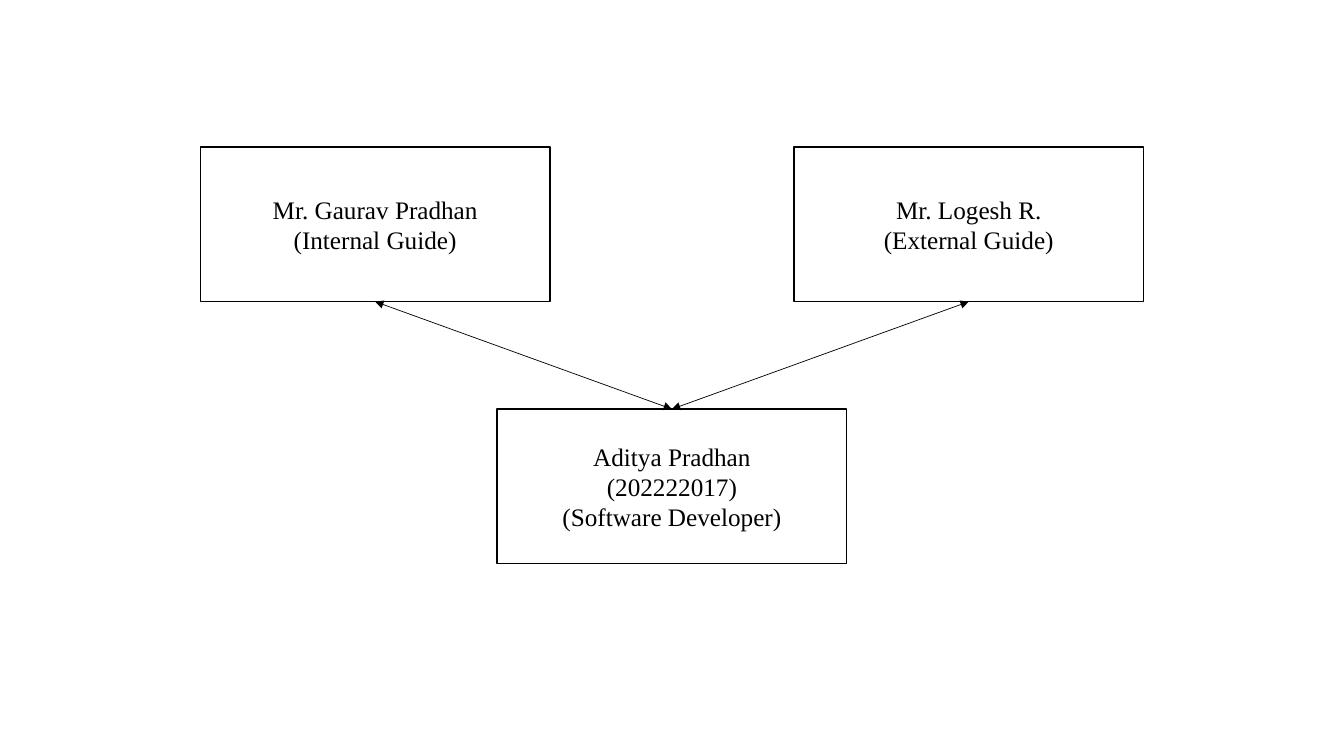
from lxml import etree
from pptx import Presentation
from pptx.dml.color import RGBColor
from pptx.enum.shapes import MSO_CONNECTOR, MSO_SHAPE
from pptx.enum.text import MSO_ANCHOR, PP_ALIGN
from pptx.oxml.ns import qn
from pptx.util import Cm, Pt

RECTANGLE = MSO_SHAPE.RECTANGLE
STRAIGHT = MSO_CONNECTOR.STRAIGHT
MIDDLE = MSO_ANCHOR.MIDDLE
CENTER = PP_ALIGN.CENTER

BLANK_LAYOUT = 6
TOP_SITE, BOTTOM_SITE = 0, 2
FONT = "Times New Roman"
BLACK, WHITE = "000000", "FFFFFF"

PAGE_WIDTH, PAGE_HEIGHT = 33.87, 19.05
BOX_WIDTH, BOX_HEIGHT = 8.81, 3.89
GUIDE_OFFSET = 7.48  # from the page centre to the centre of a guide's box
ROW_GAP = 2.71

DEVELOPER = "Aditya Pradhan\n(202222017)\n(Software Developer)"
GUIDES = ["Mr. Gaurav Pradhan\n(Internal Guide)", "Mr. Logesh R.\n(External Guide)"]


def color(hex_string):
    return RGBColor.from_string(hex_string)


def add_person(page, center, top, text):
    """Outlined box with centred text."""
    box = page.shapes.add_shape(RECTANGLE, Cm(center - BOX_WIDTH / 2), Cm(top),
                                Cm(BOX_WIDTH), Cm(BOX_HEIGHT))
    box.shadow.inherit = False
    box.fill.solid()
    box.fill.fore_color.rgb = color(WHITE)
    box.line.color.rgb = color(BLACK)
    box.line.width = Pt(1)
    frame = box.text_frame
    frame.text = text
    frame.word_wrap = True
    frame.vertical_anchor = MIDDLE
    for para in frame.paragraphs:
        para.alignment = CENTER
        for span in para.runs:
            span.font.name = FONT
            span.font.size = Pt(18)
            span.font.color.rgb = color(BLACK)
    return box


def add_double_arrow(page, upper, lower):
    """Thin line with an arrowhead at both ends."""
    arrow = page.shapes.add_connector(STRAIGHT, 0, 0, 0, 0)
    arrow.begin_connect(upper, BOTTOM_SITE)
    arrow.end_connect(lower, TOP_SITE)
    arrow.line.color.rgb = color(BLACK)
    arrow.line.width = Pt(0.5)
    properties = arrow._element.spPr
    outline = properties.find(qn("a:ln"))
    for end in ("a:headEnd", "a:tailEnd"):
        etree.SubElement(outline, qn(end), type="triangle")
    etree.SubElement(properties, qn("a:effectLst"))


def add_team_chart(page, center, top):
    """Two guides above, the developer below, joined by arrows."""
    developer = add_person(page, center, top + BOX_HEIGHT + ROW_GAP, DEVELOPER)
    guides = [add_person(page, center + side * GUIDE_OFFSET, top, text)
              for side, text in zip((-1, 1), GUIDES)]
    for guide in guides:
        add_double_arrow(page, guide, developer)


def main():
    deck = Presentation()
    deck.slide_width, deck.slide_height = Cm(PAGE_WIDTH), Cm(PAGE_HEIGHT)
    page = deck.slides.add_slide(deck.slide_layouts[BLANK_LAYOUT])
    add_team_chart(page, center=PAGE_WIDTH / 2, top=3.71)
    deck.save("out.pptx")


if __name__ == "__main__":
    main()
